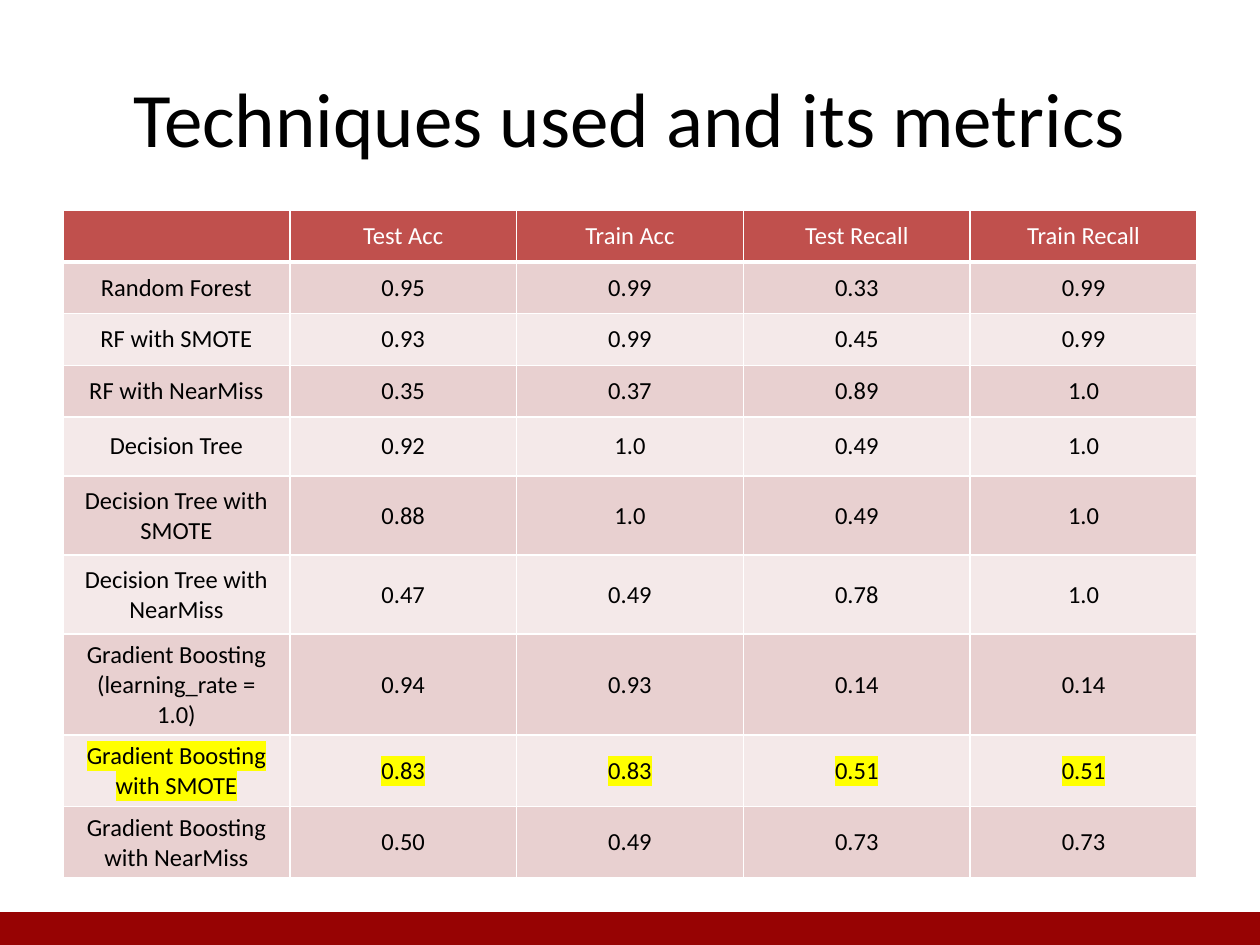
from dataclasses import dataclass

from lxml.etree import SubElement
from pptx import Presentation
from pptx.dml.color import RGBColor
from pptx.enum.shapes import MSO_SHAPE as Shape
from pptx.enum.text import MSO_ANCHOR as Anchor, PP_ALIGN as Align
from pptx.oxml.ns import qn
from pptx.util import Inches, Pt


@dataclass(frozen=True)
class Theme:
    font: str = "Calibri"
    title_size: int = 44
    cell_size: int = 14
    ink: str = "000000"
    paper: str = "FFFFFF"
    bar: str = "970303"
    header: str = "C0504D"
    bands: tuple = ("E8D0D0", "F4E9E9")
    marker: str = "FFFF00"
    rule: int = 1
    header_rule: int = 3


THEME = Theme()
WIDTH, HEIGHT = Inches(10), Inches(7.5)
MARGIN = WIDTH // 20
CONTENT_WIDTH = WIDTH - 2 * MARGIN
LOW_ROW, TALL_ROW = Inches(0.41), Inches(0.47)
TALL_ROWS = range(4, 7)
PADDED_ROWS = range(1, 7)
BEST_ROW = 8

METRICS = [
    ("", "Test Acc", "Train Acc", "Test Recall", "Train Recall"),
    ("Random Forest", "0.95", "0.99", "0.33", "0.99"),
    ("RF with SMOTE", "0.93", "0.99", "0.45", "0.99"),
    ("RF with NearMiss", "0.35", "0.37", "0.89", "1.0"),
    ("Decision Tree", "0.92", "1.0", "0.49", "1.0"),
    ("Decision Tree with SMOTE", "0.88", "1.0", "0.49", "1.0"),
    ("Decision Tree with NearMiss", "0.47", "0.49", "0.78", "1.0"),
    ("Gradient Boosting (learning_rate = 1.0)", "0.94", "0.93", "0.14", "0.14"),
    ("Gradient Boosting with SMOTE", "0.83", "0.83", "0.51", "0.51"),
    ("Gradient Boosting with NearMiss", "0.50", "0.49", "0.73", "0.73"),
]


def write(frame, text, size, color):
    frame.text = text
    para = frame.paragraphs[0]
    para.alignment = Align.CENTER
    for span in para.runs:
        span.font.size = Pt(size)
        span.font.name = THEME.font
        span.font.color.rgb = RGBColor.from_string(color)


def highlight(frame):
    for span in frame.paragraphs[0].runs:
        props = span._r.get_or_add_rPr()
        mark = SubElement(props, qn("a:highlight"))
        SubElement(mark, qn("a:srgbClr"), val=THEME.marker)
        props.find(qn("a:latin")).addprevious(mark)


def set_borders(cell, top, bottom):
    """Rule all four sides; must run before the cell is filled."""
    props = cell._tc.get_or_add_tcPr()
    sides = {"L": THEME.rule, "R": THEME.rule, "T": top, "B": bottom}
    for side, weight in sides.items():
        line = SubElement(props, qn(f"a:ln{side}"), w=str(Pt(weight)))
        fill = SubElement(line, qn("a:solidFill"))
        SubElement(fill, qn("a:srgbClr"), val=THEME.paper)


def add_footer_bar(page):
    depth = HEIGHT // 30
    bar = page.shapes.add_shape(Shape.RECTANGLE, 0, HEIGHT - depth, WIDTH, depth)
    bar.shadow.inherit = False
    bar.fill.solid()
    bar.fill.fore_color.rgb = RGBColor.from_string(THEME.bar)
    bar.line.color.rgb = RGBColor.from_string(THEME.bar)
    bar.line.width = Pt(2)


def add_title(page, text):
    box = page.shapes.add_textbox(MARGIN, HEIGHT // 25, CONTENT_WIDTH, HEIGHT // 6)
    frame = box.text_frame
    frame.word_wrap = True
    frame.vertical_anchor = Anchor.MIDDLE
    write(frame, text, THEME.title_size, THEME.ink)


def style_cell(cell, text, row, column):
    is_header = row == 0
    set_borders(
        cell,
        top=THEME.header_rule if row == 1 else THEME.rule,
        bottom=THEME.header_rule if is_header else THEME.rule,
    )
    cell.fill.solid()
    fill = THEME.header if is_header else THEME.bands[(row - 1) % 2]
    cell.fill.fore_color.rgb = RGBColor.from_string(fill)
    cell.vertical_anchor = Anchor.MIDDLE
    if column == 0 and row in PADDED_ROWS:
        cell.margin_left = cell.margin_right = Inches(0.08)
        cell.margin_top = cell.margin_bottom = Inches(0.08)
    write(cell.text_frame, text, THEME.cell_size, THEME.paper if is_header else THEME.ink)
    if row == BEST_ROW:
        highlight(cell.text_frame)


def add_metrics_table(page, metrics):
    heights = [TALL_ROW if row in TALL_ROWS else LOW_ROW for row in range(len(metrics))]
    table = page.shapes.add_table(
        len(metrics), len(metrics[0]), MARGIN, Inches(1.67), CONTENT_WIDTH, sum(heights)
    ).table
    for row, values in enumerate(metrics):
        table.rows[row].height = heights[row]
        for column, text in enumerate(values):
            style_cell(table.cell(row, column), text, row, column)


def main():
    deck = Presentation()
    deck.slide_width, deck.slide_height = WIDTH, HEIGHT
    page = deck.slides.add_slide(deck.slide_layouts[6])
    add_footer_bar(page)
    add_title(page, "Techniques used and its metrics")
    add_metrics_table(page, METRICS)
    deck.save("out.pptx")


if __name__ == "__main__":
    main()
